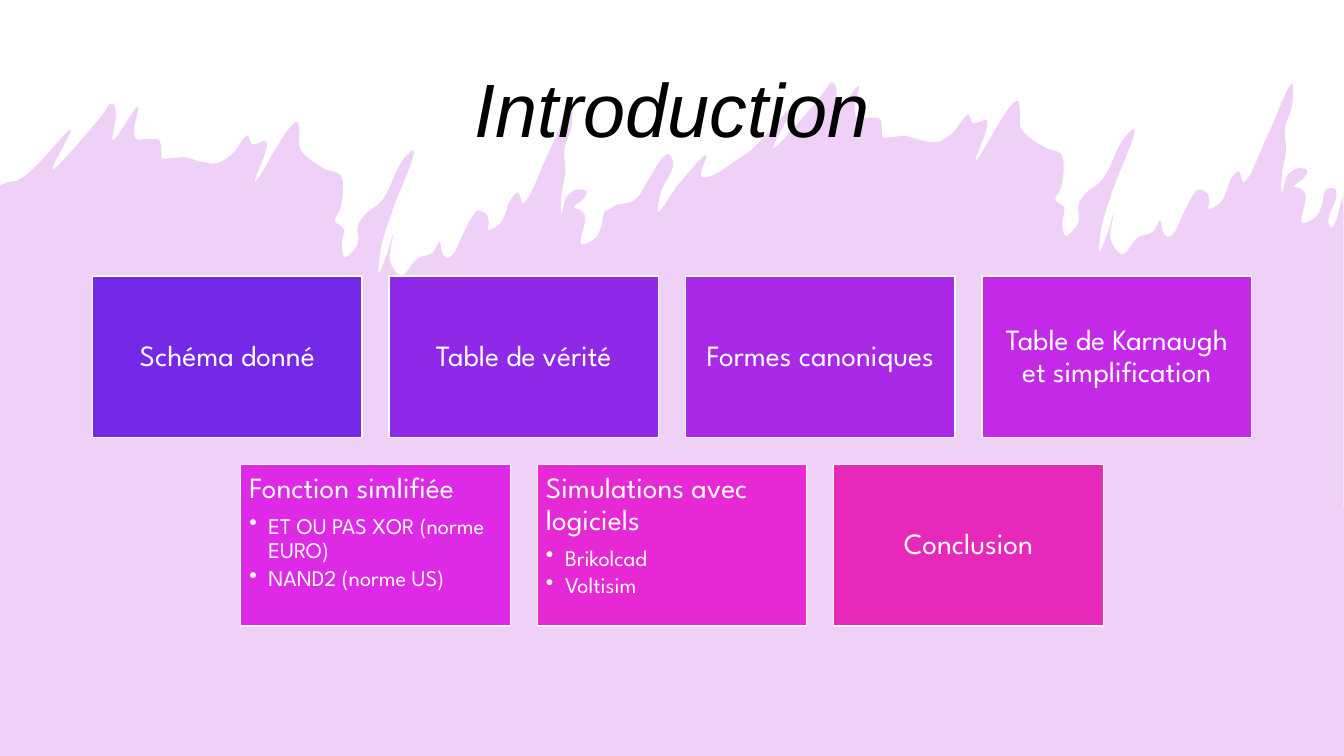
from dataclasses import dataclass
from math import hypot

from lxml.etree import SubElement
from pptx import Presentation
from pptx.dml.color import RGBColor
from pptx.enum.shapes import MSO_SHAPE
from pptx.enum.text import MSO_ANCHOR, PP_ALIGN
from pptx.oxml.ns import qn
from pptx.util import Cm, Pt


@dataclass(frozen=True)
class Theme:
    paper: str = "FFFFFF"
    ink: str = "000000"
    card_text: str = "FFFFFF"
    paint: str = "B217D5"
    paint_opacity: int = 20
    cards: tuple = ("7529E7", "8F29E7", "AA29E7", "C429E7", "DE29E7", "E729D5", "E729BB")
    title_font: str = "Arial"
    body_font: str = "League Spartan"
    title_size: int = 54
    heading_size: int = 21
    bullet_size: int = 16


@dataclass(frozen=True)
class Box:
    left: int
    top: int
    width: int
    height: int


THEME = Theme()
CARDS = [
    [("Schéma donné", []), ("Table de vérité", []), ("Formes canoniques", []),
     ("Table de Karnaugh et simplification", [])],
    [("Fonction simlifiée", ["ET OU PAS XOR (norme EURO)", "NAND2 (norme US)"]),
     ("Simulations avec logiciels", ["Brikolcad", "Voltisim"]),
     ("Conclusion", [])],
]

# Outline of the paint edge, in units of 0.0254 cm; the motif appears twice.
UNIT = Cm(0.0254)
MOTIF_SHIFT = (715, -21)
LEFT_END = [(0, 184), (7, 181), (17, 179)]
MOTIF = [
    (30, 170), (70, 129), (52, 168), (90, 128), (105, 109), (109, 103), (113, 104),
    (115, 112), (112, 139), (137, 106), (133, 131), (135, 138), (144, 138), (158, 139),
    (160, 149), (161, 157), (169, 157), (184, 156), (198, 160), (215, 162), (230, 153),
    (246, 135), (250, 143), (264, 140), (253, 180), (295, 121), (297, 131), (298, 148),
    (321, 167), (323, 168), (338, 174), (340, 194), (337, 209), (332, 219), (341, 227),
    (339, 242), (342, 255), (355, 242), (355, 224), (363, 212), (378, 200), (401, 157),
    (410, 149), (389, 210), (378, 246), (376, 271), (384, 252), (390, 233), (387, 259),
    (397, 273), (400, 273), (409, 262), (415, 256), (429, 251), (436, 240), (439, 251),
    (443, 256), (449, 253), (458, 235), (468, 216), (474, 209), (483, 213), (485, 220),
    (484, 228), (496, 222), (508, 196), (514, 191), (517, 198), (518, 202), (545, 150),
    (567, 104), (567, 126), (560, 148), (561, 171), (557, 193), (557, 212), (563, 194),
    (573, 188), (582, 190), (579, 197), (569, 206), (575, 208), (580, 213), (577, 242),
    (591, 236), (597, 223), (600, 210),
]
BRIDGE = [
    (606, 207), (610, 204), (627, 200), (634, 194), (643, 179), (663, 153), (668, 162),
    (656, 190), (653, 210), (674, 182), (701, 154), (696, 175), (700, 176), (732, 158),
]
RIGHT_END = [(1324, 187), (1326, 192), (1318, 221), (1321, 226), (1333, 193)]


def bend(shape, count):
    """Turn the first count segments of a freeform into curves, keeping sharp turns sharp."""
    steps = list(next(shape._element.iter(qn("a:path"))))[:count + 1]
    points = [(int(step[0].get("x")), int(step[0].get("y"))) for step in steps]
    pairs = list(zip(points, points[1:]))
    lengths = [hypot(b[0] - a[0], b[1] - a[1]) for a, b in pairs]
    headings = [((b[0] - a[0]) / size, (b[1] - a[1]) / size)
                for (a, b), size in zip(pairs, lengths)]
    tangents = [((a[0] + b[0]) / 2, (a[1] + b[1]) / 2)
                for a, b in zip(headings[:1] + headings, headings + headings[-1:])]
    for index, (start, end) in enumerate(pairs):
        step, reach = steps[index + 1], lengths[index] / 3
        step.tag = qn("a:cubicBezTo")
        handles = ((start, tangents[index], reach), (end, tangents[index + 1], -reach))
        for place, (point, tangent, offset) in enumerate(handles):
            handle = SubElement(step, qn("a:pt"), x=str(round(point[0] + offset * tangent[0])),
                                y=str(round(point[1] + offset * tangent[1])))
            step.insert(place, handle)


def fill_plain(shape, colour):
    shape.shadow.inherit = False
    shape.fill.solid()
    shape.fill.fore_color.rgb = RGBColor.from_string(colour)
    shape.line.fill.background()


def add_backdrop(page, box):
    """Lay white paper and the translucent paint running down from its edge."""
    paper = page.shapes.add_shape(MSO_SHAPE.RECTANGLE, box.left, box.top, box.width, box.height)
    fill_plain(paper, THEME.paper)

    repeat = [(x + MOTIF_SHIFT[0], y + MOTIF_SHIFT[1]) for x, y in MOTIF]
    edge = [(box.left + x * UNIT, box.top + y * UNIT)
            for x, y in LEFT_END + MOTIF + BRIDGE + repeat + RIGHT_END]
    right, bottom = box.left + box.width, box.top + box.height
    builder = page.shapes.build_freeform(*edge[0])
    builder.add_line_segments(edge[1:] + [(right, bottom), (box.left, bottom)], close=True)
    paint = builder.convert_to_shape()
    bend(paint, len(edge) - 1)
    fill_plain(paint, THEME.paint)
    colour = paint.fill._xPr.find(qn("a:solidFill"))[0]
    SubElement(colour, qn("a:alpha"), val=str(THEME.paint_opacity * 1000))


def style_para(para, text, font, size, colour):
    para.text = text
    para.line_spacing = 0.9
    para.font.name = font
    para.font.size = Pt(size)
    para.font.color.rgb = RGBColor.from_string(colour)


def add_title(page, box, text):
    frame = page.shapes.add_textbox(box.left, box.top, box.width, box.height).text_frame
    frame.word_wrap = True
    frame.vertical_anchor = MSO_ANCHOR.MIDDLE
    para = frame.paragraphs[0]
    style_para(para, text, THEME.title_font, THEME.title_size, THEME.ink)
    para.font.italic = True
    para.alignment = PP_ALIGN.CENTER


def add_bullet(para):
    properties = para._p.get_or_add_pPr()
    properties.set("marL", str(Cm(0.48)))
    properties.set("indent", str(-Cm(0.48)))
    bullet = SubElement(properties, qn("a:buChar"), char="•")
    properties.find(qn("a:defRPr")).addprevious(bullet)


def add_card(page, box, colour, heading, bullets):
    card = page.shapes.add_shape(MSO_SHAPE.RECTANGLE, box.left, box.top, box.width, box.height)
    fill_plain(card, colour)
    card.line.color.rgb = RGBColor.from_string(THEME.paper)
    card.line.width = Pt(1)
    frame = card.text_frame
    frame.word_wrap = True
    frame.margin_left = frame.margin_right = frame.margin_top = frame.margin_bottom = Cm(0.22)
    frame.vertical_anchor = MSO_ANCHOR.TOP if bullets else MSO_ANCHOR.MIDDLE
    para = frame.paragraphs[0]
    style_para(para, heading, THEME.body_font, THEME.heading_size, THEME.card_text)
    para.alignment = PP_ALIGN.LEFT if bullets else PP_ALIGN.CENTER
    para.space_after = Pt(7)
    for text in bullets:
        para = frame.add_paragraph()
        style_para(para, text, THEME.body_font, THEME.bullet_size, THEME.card_text)
        para.alignment = PP_ALIGN.LEFT
        para.space_after = Pt(2.7)
        add_bullet(para)


def add_card_grid(page, box, rows):
    """Fill the box with rows of equal cards, each row centred."""
    gap = Cm(0.68)
    columns = max(len(row) for row in rows)
    width = (box.width - gap * (columns - 1)) // columns
    height = (box.height - gap * (len(rows) - 1)) // len(rows)
    colours = iter(THEME.cards)
    for row_index, row in enumerate(rows):
        row_width = len(row) * (width + gap) - gap
        left = box.left + (box.width - row_width) // 2
        top = box.top + row_index * (height + gap)
        for column, (heading, bullets) in enumerate(row):
            place = Box(left + column * (width + gap), top, width, height)
            add_card(page, place, next(colours), heading, bullets)


def main():
    deck = Presentation()
    deck.slide_width, deck.slide_height = Cm(33.87), Cm(19.05)
    page = deck.slides.add_slide(deck.slide_layouts[6])
    add_backdrop(page, Box(0, 0, deck.slide_width, deck.slide_height))
    add_title(page, Box(Cm(2.33), Cm(1.01), Cm(29.21), Cm(3.68)), "Introduction")
    add_card_grid(page, Box(Cm(2.33), Cm(6.96), Cm(29.21), Cm(8.82)), CARDS)
    deck.save("out.pptx")


if __name__ == "__main__":
    main()
